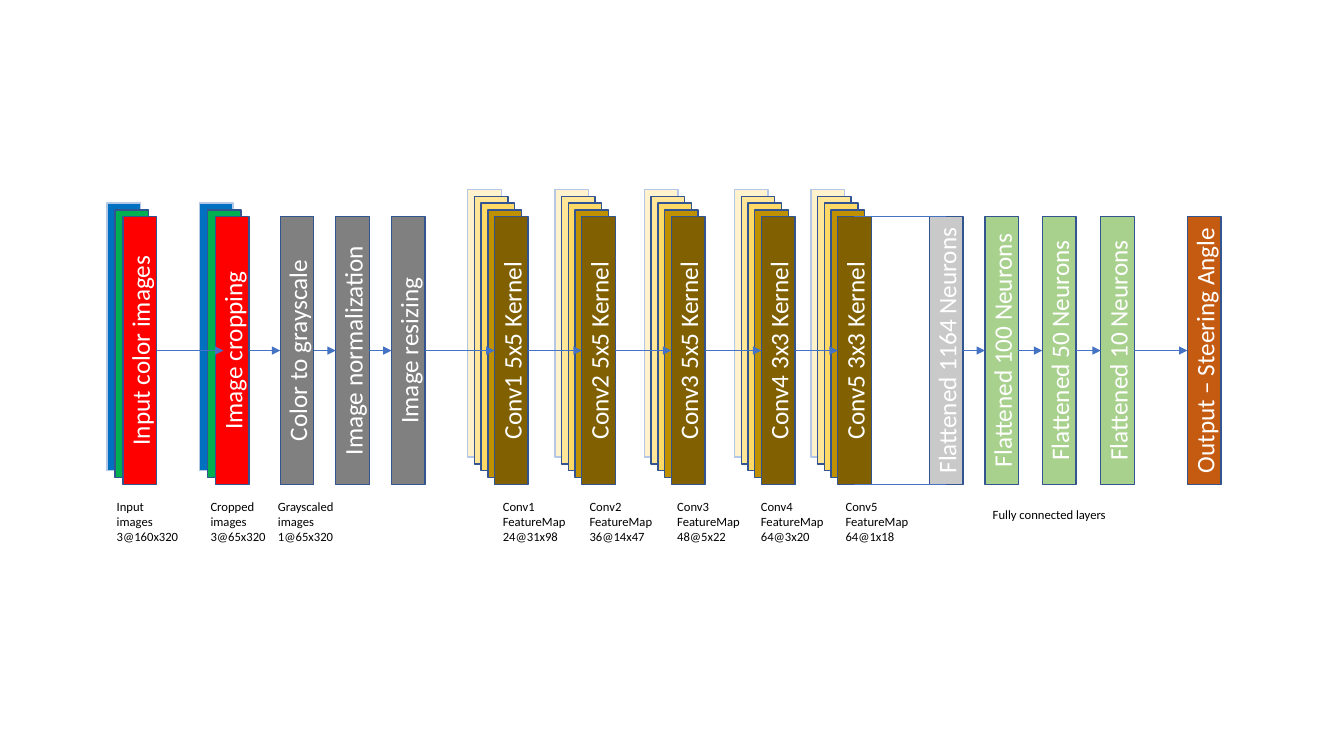
from lxml import etree
from pptx import Presentation
from pptx.dml.color import RGBColor
from pptx.enum.shapes import MSO_CONNECTOR, MSO_SHAPE
from pptx.enum.text import MSO_ANCHOR, MSO_AUTO_SIZE, PP_ALIGN
from pptx.oxml.ns import qn
from pptx.util import Inches, Pt

RECTANGLE = MSO_SHAPE.RECTANGLE
STRAIGHT = MSO_CONNECTOR.STRAIGHT
MIDDLE = MSO_ANCHOR.MIDDLE
CENTER, LEFT = PP_ALIGN.CENTER, PP_ALIGN.LEFT
GROW = MSO_AUTO_SIZE.SHAPE_TO_FIT_TEXT

SLIDE_WIDTH, SLIDE_HEIGHT = Inches(13.333), Inches(7.5)
COLUMN, ROW = SLIDE_WIDTH / 100, SLIDE_HEIGHT / 100
FONT = "Calibri"

COLORS = {
    "blue": "0070C0", "green": "00B050", "red": "FF0000", "gray": "808080",
    "cream": "FFF2CC", "pale gold": "FFE699", "gold": "FFD966",
    "dark gold": "BF9000", "brown": "806000", "silver": "C9C9C9",
    "light green": "A9D18E", "orange": "C55A11", "outline": "325491",
    "back outline": "B4C7E7", "arrow": "4472C4", "white": "FFFFFF",
    "black": "000000",
}

BAR_TOP, BAR_WIDTH, BAR_HEIGHT = 28.67, 2.5, 35.4
BAR_MIDDLE = BAR_TOP + BAR_HEIGHT / 2
LAYER_ROWS = 0.9
CAPTION_TOP, CAPTION_HEIGHT = 65.33, 7.47

IMAGE_LAYERS = ["blue", "green", "red"]
KERNEL_LAYERS = ["cream", "pale gold", "gold", "dark gold", "brown"]

STAGES = [
    ("Input color images", 9.15, IMAGE_LAYERS),
    ("Image cropping", 16.03, IMAGE_LAYERS),
    ("Color to grayscale", 20.85, ["gray"]),
    ("Image normalization", 24.98, ["gray"]),
    ("Image resizing", 29.13, ["gray"]),
    ("Conv1 5x5 Kernel", 36.8, KERNEL_LAYERS),
    ("Conv2 5x5 Kernel", 43.28, KERNEL_LAYERS),
    ("Conv3 5x5 Kernel", 49.95, KERNEL_LAYERS),
    ("Conv4 3x3 Kernel", 56.65, KERNEL_LAYERS),
    ("Conv5 3x3 Kernel", 62.33, KERNEL_LAYERS),
    ("Flattened 1164 Neurons", 69.15, ["silver"]),
    ("Flattened 100 Neurons", 73.28, ["light green"]),
    ("Flattened 50 Neurons", 77.55, ["light green"]),
    ("Flattened 10 Neurons", 81.9, ["light green"]),
    ("Output – Steering Angle", 88.35, ["orange"]),
]

CAPTIONS = [
    (["Input", "images", "3@160x320"], 7.95, 6.1),
    (["Cropped", "images", "3@65x320"], 14.93, 5.6),
    (["Grayscaled", "images", "1@65x320"], 19.95, 6.1),
    (["Conv1", "FeatureMap", "24@31x98"], 36.68, 6.2),
    (["Conv2", "FeatureMap", "36@14x47"], 43.13, 6.2),
    (["Conv3", "FeatureMap", "48@5x22"], 49.65, 6.2),
    (["Conv4", "FeatureMap", "64@3x20"], 55.88, 6.2),
    (["Conv5", "FeatureMap", "64@1x18"], 62.18, 6.2),
]


def color(name):
    return RGBColor.from_string(COLORS[name])


def box(left, top, width, height):
    return (round(left * COLUMN), round(top * ROW),
            round(width * COLUMN), round(height * ROW))


def write_lines(frame, lines, size, color_name, alignment):
    for index, line in enumerate(lines):
        paragraph = frame.add_paragraph() if index else frame.paragraphs[0]
        paragraph.alignment = alignment
        run = paragraph.add_run()
        run.text = line
        run.font.name = FONT
        run.font.size = Pt(size)
        run.font.color.rgb = color(color_name)


def add_bar(slide, left, top, fill, outline):
    bar = slide.shapes.add_shape(RECTANGLE, *box(left, top, BAR_WIDTH, BAR_HEIGHT))
    bar.shadow.inherit = False
    bar.fill.solid()
    bar.fill.fore_color.rgb = color(fill)
    bar.line.color.rgb = color(outline)
    bar.line.width = Pt(1)
    return bar


def add_stage(slide, label, left, layers):
    layer_columns = 0.6 if layers is IMAGE_LAYERS else 0.5
    for index, fill in enumerate(layers):
        depth = len(layers) - 1 - index
        outline = "back outline" if depth and index == 0 else "outline"
        bar = add_bar(slide, left - depth * layer_columns,
                      BAR_TOP - depth * LAYER_ROWS, fill, outline)
    frame = bar.text_frame
    frame.vertical_anchor = MIDDLE
    frame._txBody.bodyPr.set("vert", "vert270")
    write_lines(frame, [label], 18, "white", CENTER)


def add_caption(slide, lines, left, width, top=CAPTION_TOP, height=CAPTION_HEIGHT):
    caption = slide.shapes.add_textbox(*box(left, top, width, height))
    frame = caption.text_frame
    frame.word_wrap = False
    frame.auto_size = GROW
    write_lines(frame, lines, 9, "black", LEFT)


def add_line(slide, start, end, row, arrow=True):
    begin_x, y, end_x, _ = box(start, row, end, 0)
    line = slide.shapes.add_connector(STRAIGHT, begin_x, y, end_x, y)
    line.line.color.rgb = color("arrow")
    line.line.width = Pt(0.5)
    if arrow:
        etree.SubElement(line.line._get_or_add_ln(), qn("a:tailEnd"), type="triangle")
    etree.SubElement(line._element.spPr, qn("a:effectLst"))


def connect_stages(slide):
    for (name, left, _), (_, next_left, next_layers) in zip(STAGES, STAGES[1:]):
        if name.startswith("Conv5"):
            for row in (BAR_TOP, BAR_TOP + BAR_HEIGHT):
                add_line(slide, left + BAR_WIDTH / 2, next_left + BAR_WIDTH / 2,
                         row, arrow=False)
        else:
            overlap = 0.6 if next_layers is IMAGE_LAYERS else 0
            add_line(slide, left + BAR_WIDTH, next_left + overlap, BAR_MIDDLE)


def main():
    presentation = Presentation()
    presentation.slide_width = SLIDE_WIDTH
    presentation.slide_height = SLIDE_HEIGHT
    slide = presentation.slides.add_slide(presentation.slide_layouts[6])
    for stage in STAGES:
        add_stage(slide, *stage)
    for caption in CAPTIONS:
        add_caption(slide, *caption)
    add_caption(slide, ["Fully connected layers"], 73.13, 10.05, 66.4, 3.33)
    connect_stages(slide)
    presentation.save("out.pptx")


if __name__ == "__main__":
    main()
